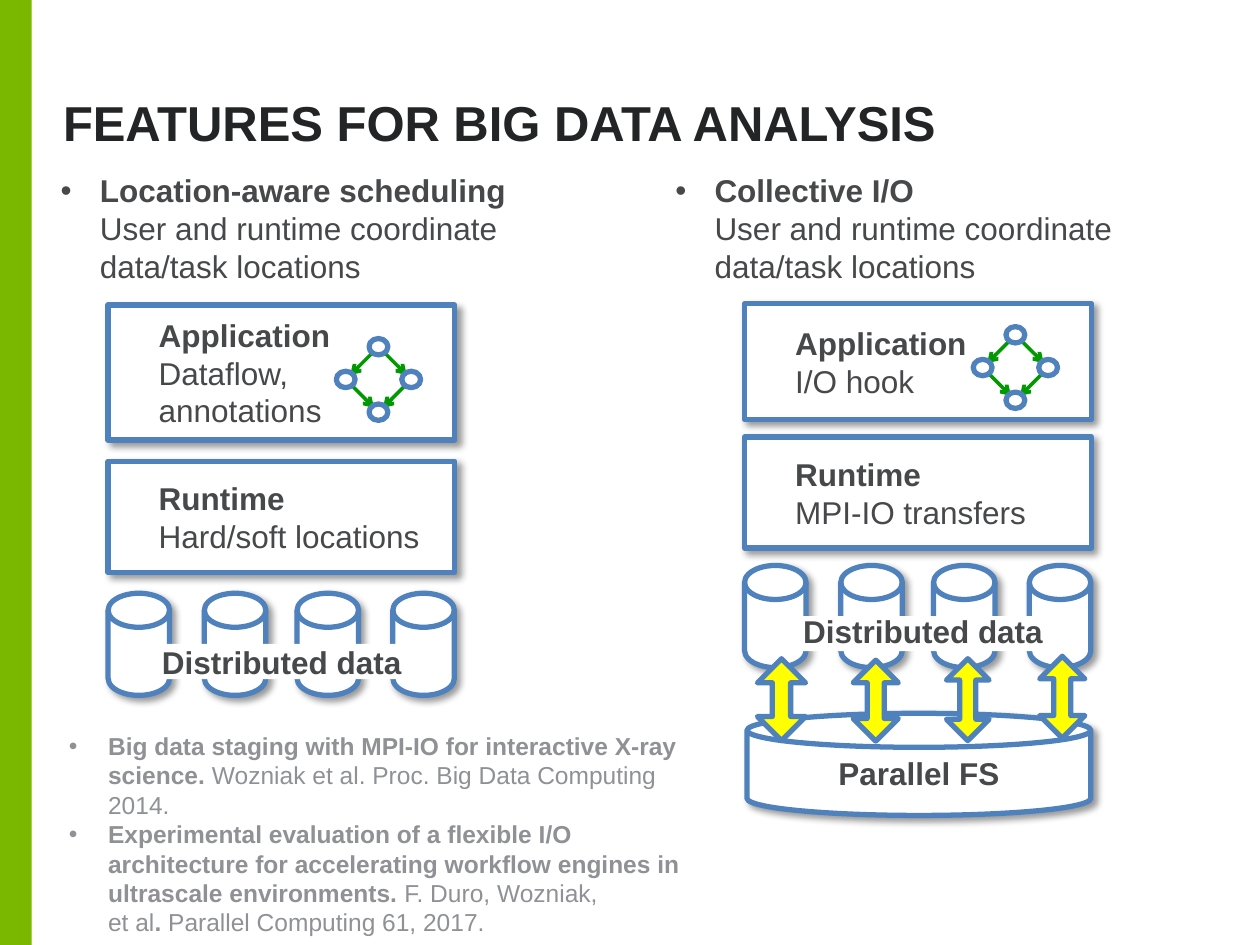
from lxml import etree
from pptx import Presentation
from pptx.dml.color import RGBColor
from pptx.enum.shapes import MSO_CONNECTOR, MSO_SHAPE
from pptx.enum.text import MSO_ANCHOR, MSO_AUTO_SIZE, PP_ALIGN
from pptx.oxml.ns import qn
from pptx.util import Cm, Pt

GREEN = RGBColor(0x7A, 0xB8, 0x00)
EDGE_GREEN = RGBColor(0x00, 0x99, 0x00)
BLUE = RGBColor(0x4F, 0x81, 0xBD)
YELLOW = RGBColor(0xFF, 0xFF, 0x00)
WHITE = RGBColor(0xFF, 0xFF, 0xFF)
TITLE_INK = RGBColor(0x23, 0x24, 0x25)
INK = RGBColor(0x47, 0x48, 0x4A)
GREY = RGBColor(0x8F, 0x91, 0x94)

TITLE = "FEATURES FOR BIG DATA ANALYSIS"
# Lengths are in centimetres; a box is (top, height, heading, detail).
COLUMNS = [
    {
        "bullet": ("Location-aware scheduling",
                   "User and runtime coordinate data/task locations"),
        "bullet_left": 0.97,
        "left": 2.18,
        "boxes": [(6.15, 2.72, "Application", "Dataflow,\nannotations"),
                  (9.3, 2.24, "Runtime", "Hard/soft locations")],
        "graph_center": (7.63, 7.65),
        "disk_top": 11.96,
        "mask": (3.15, 12.98, 5.16, 0.71),
        "label": (2.34, 12.83, 6.68, 1.02),
    },
    {
        "bullet": ("Collective I/O",
                   "User and runtime coordinate data/task locations"),
        "bullet_left": 13.36,
        "left": 15.01,
        "boxes": [(6.12, 2.34, "Application", "I/O hook"),
                  (8.81, 2.24, "Runtime", "MPI-IO transfers")],
        "graph_center": (20.47, 7.41),
        "disk_top": 11.4,
        "mask": (15.98, 12.42, 5.38, 0.71),
        "label": (15.27, 12.22, 6.68, 1.02),
    },
]
BOX_WIDTH = 6.99
DISK_OFFSETS = [0, 1.94, 3.81, 5.74]
DISK_SIZE = (1.24, 2.06)
DISK_LABEL = "Distributed data"
FILE_SYSTEM = ("Parallel FS", (15.06, 14.38, 6.93, 2.06))
ARROWS = [(15.27, 13.28, 0.97, 1.65), (17.2, 13.31, 0.91, 1.63),
          (19.08, 13.28, 0.86, 1.65), (20.96, 13.23, 0.91, 1.65)]

# Graph nodes as steps from the centre, edges as (from, to)
NODES = {"top": (0, -1), "left": (-1, 0), "right": (1, 0), "bottom": (0, 1)}
EDGES = [("top", "left"), ("top", "right"), ("left", "bottom"), ("right", "bottom")]
STEP = 0.66
NODE_SIZE = (0.38, 0.33)

# Each reference is a list of (text, bold)
REFERENCES = [
    [("Big data staging with MPI-IO for interactive X-ray science. ", True),
     ("Wozniak et al. Proc. Big Data Computing 2014.", False)],
    [("Experimental evaluation of a flexible I/O architecture for accelerating "
      "workflow engines in ultrascale environments. ", True),
     ("F. Duro, Wozniak,\net al", False), (". ", True),
     ("Parallel Computing 61, 2017.", False)],
]


def cm(*values):
    return [Cm(v) for v in values]


def write(p, pieces, size=18, color=INK):
    """Fill a paragraph with (text, bold) pieces; a newline is a line break."""
    for text, bold in pieces:
        for i, line in enumerate(text.split("\n")):
            if i:
                p.add_line_break()
            if not line:
                continue
            r = p.add_run()
            r.text = line
            r.font.name, r.font.size, r.font.bold = "Arial", Pt(size), bold
            r.font.color.rgb = color
    p.space_before = p.space_after = Pt(0)


def add_bullet(p):
    pPr = p._p.get_or_add_pPr()
    pPr.set("marL", str(Cm(0.79)))
    pPr.set("indent", str(-Cm(0.79)))
    etree.SubElement(pPr, qn("a:buFont"), typeface="Arial")
    etree.SubElement(pPr, qn("a:buChar"), char="•")


def place(sp, left, top, width, height):
    sp.left, sp.top, sp.width, sp.height = cm(left, top, width, height)


def set_frame(tf, anchor=MSO_ANCHOR.TOP):
    tf.word_wrap = True
    tf.auto_size = MSO_AUTO_SIZE.NONE
    tf.vertical_anchor = anchor
    return tf.paragraphs[0]


def add_shape(shapes, kind, bounds, fill=WHITE, line=BLUE, shadow=False):
    sp = shapes.add_shape(kind, *cm(*bounds))
    if fill is None:
        sp.fill.background()
    else:
        sp.fill.solid()
        sp.fill.fore_color.rgb = fill
    if line is None:
        sp.line.fill.background()
    else:
        sp.line.color.rgb = line
        sp.line.width = Pt(3)
    sp.shadow.inherit = False
    if shadow:
        effects = sp._element.spPr.find(qn("a:effectLst"))
        outer = etree.SubElement(effects, qn("a:outerShdw"), blurRad=str(Pt(4)),
                                 dist=str(Pt(3)), dir=str(45 * 60000),
                                 algn="tl", rotWithShape="0")
        color = etree.SubElement(outer, qn("a:srgbClr"), val="000000")
        etree.SubElement(color, qn("a:alpha"), val="40000")
    return sp


def add_edge(shapes, start, end):
    """Draw an arrow between two node centres, stopping short of the nodes."""
    signs = [1 if b > a else -1 for a, b in zip(start, end)]
    begin = [a + 0.13 * s for a, s in zip(start, signs)]
    finish = [b - 0.09 * s for b, s in zip(end, signs)]
    edge = shapes.add_connector(MSO_CONNECTOR.STRAIGHT, *cm(*begin, *finish))
    edge.line.color.rgb = EDGE_GREEN
    edge.line.width = Pt(2)
    etree.SubElement(edge.line._get_or_add_ln(), qn("a:tailEnd"), type="arrow")
    etree.SubElement(edge._element.spPr, qn("a:effectLst"))


def add_graph(slide, center):
    shapes = slide.shapes.add_group_shape().shapes
    spots = {name: [c + STEP * d for c, d in zip(center, step)]
             for name, step in NODES.items()}
    for start, end in EDGES:
        add_edge(shapes, spots[start], spots[end])
    w, h = NODE_SIZE
    for x, y in spots.values():
        add_shape(shapes, MSO_SHAPE.OVAL, (x - w / 2, y - h / 2, w, h), fill=None)


def add_column(slide, column, body):
    place(body, column["bullet_left"], 3.33, 11.43, 2.57)
    p = set_frame(body.text_frame)
    heading, detail = column["bullet"]
    write(p, [(heading + "\n", True), (detail, False)])
    add_bullet(p)

    disks = slide.shapes.add_group_shape().shapes
    for offset in DISK_OFFSETS:
        add_shape(disks, MSO_SHAPE.FLOWCHART_MAGNETIC_DISK,
                  (column["left"] + offset, column["disk_top"], *DISK_SIZE), shadow=True)

    for top, height, heading, detail in column["boxes"]:
        sp = add_shape(slide.shapes, MSO_SHAPE.RECTANGLE,
                       (column["left"], top, BOX_WIDTH, height), shadow=True)
        p = set_frame(sp.text_frame, MSO_ANCHOR.MIDDLE)
        sp.text_frame.margin_left = Cm(1.02)
        p.alignment = PP_ALIGN.LEFT
        write(p, [(heading + "\n", True), (detail, False)])
    add_graph(slide, column["graph_center"])

    add_shape(slide.shapes, MSO_SHAPE.RECTANGLE, column["mask"], line=None)
    label = slide.shapes.add_textbox(*cm(*column["label"]))
    p = set_frame(label.text_frame)
    p.alignment = PP_ALIGN.CENTER
    write(p, [(DISK_LABEL, True)])


def main():
    prs = Presentation()
    prs.slide_width, prs.slide_height = cm(25.4, 19.05)
    slide = prs.slides.add_slide(prs.slide_layouts[3])
    title, *bodies = slide.placeholders

    add_shape(slide.shapes, MSO_SHAPE.RECTANGLE, (0, 0, 0.64, 19.05), GREEN, None)
    place(title, 1.27, 0.76, 23.27, 2.31)
    tf = title.text_frame
    p = set_frame(tf, MSO_ANCHOR.BOTTOM)
    tf.margin_left = tf.margin_top = tf.margin_right = tf.margin_bottom = 0
    p.alignment, p.line_spacing = PP_ALIGN.LEFT, 0.95
    write(p, [(TITLE, True)], 28, TITLE_INK)

    for column, body in zip(COLUMNS, bodies):
        add_column(slide, column, body)

    name, bounds = FILE_SYSTEM
    sp = add_shape(slide.shapes, MSO_SHAPE.FLOWCHART_MAGNETIC_DISK, bounds, shadow=True)
    p = set_frame(sp.text_frame, MSO_ANCHOR.MIDDLE)
    p.alignment = PP_ALIGN.CENTER
    write(p, [(name, True)])
    for bounds in ARROWS:
        sp = add_shape(slide.shapes, MSO_SHAPE.UP_DOWN_ARROW, bounds, YELLOW)
        sp.adjustments[0], sp.adjustments[1] = 0.34, 0.38

    box = slide.shapes.add_textbox(*cm(1.14, 14.61, 13.31, 4.44))
    p = set_frame(box.text_frame)
    for i, pieces in enumerate(REFERENCES):
        p = box.text_frame.add_paragraph() if i else p
        write(p, pieces, 14, GREY)
        add_bullet(p)

    prs.save("out.pptx")


if __name__ == "__main__":
    main()
